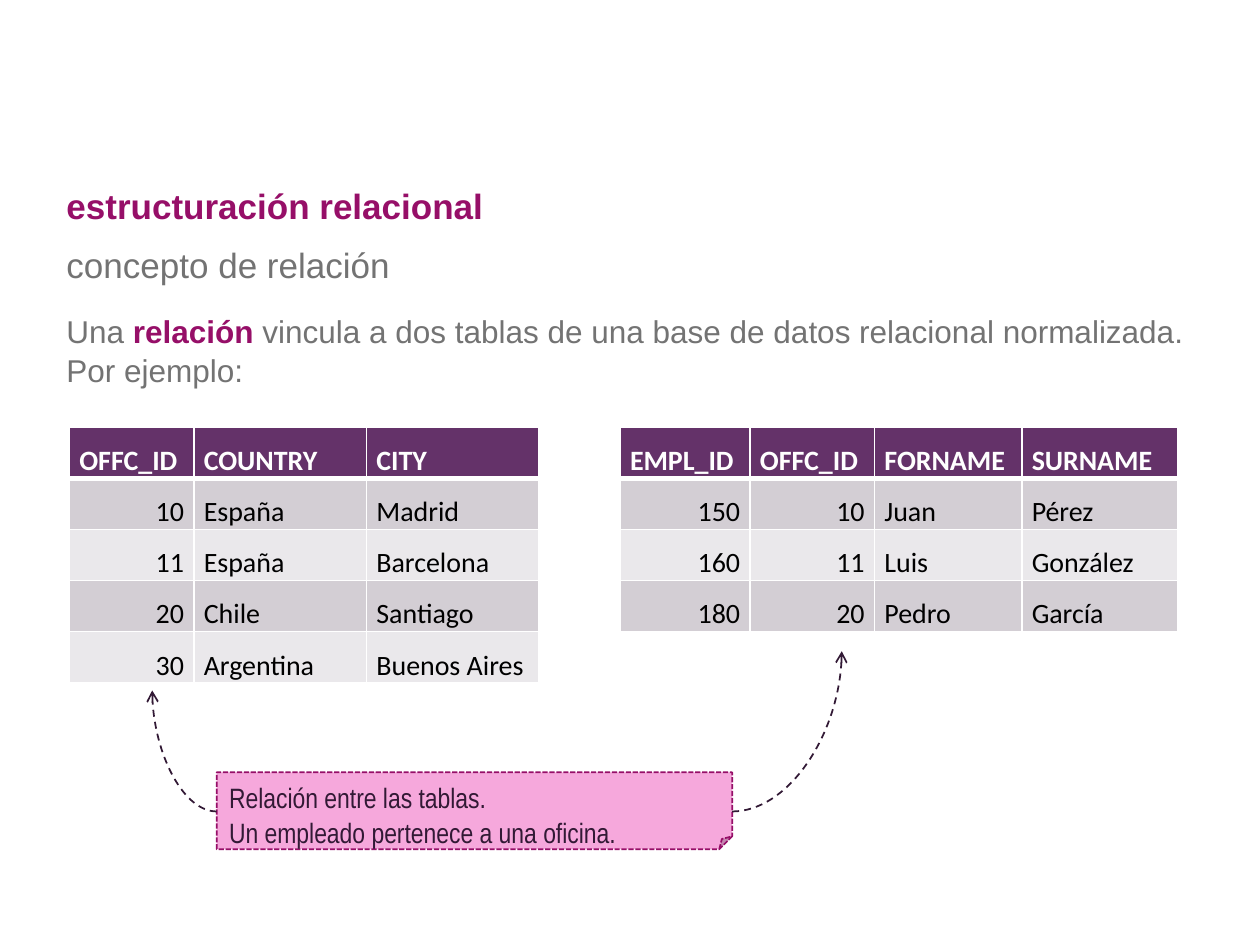
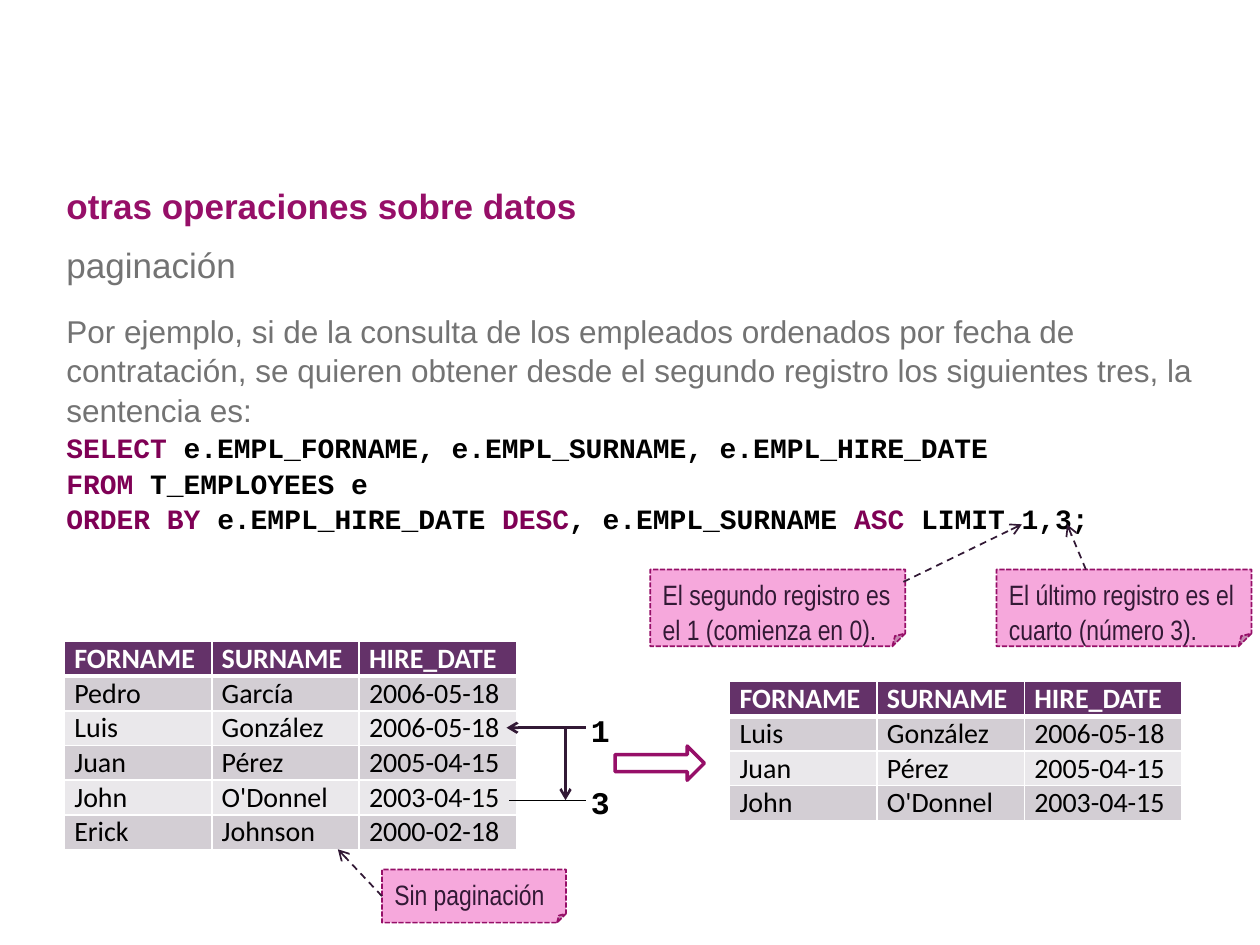
from lxml import etree
from pptx import Presentation
from pptx import util as u
from pptx.dml.color import RGBColor
from pptx.enum import dml, shapes, text
from pptx.oxml.ns import qn

PLUM = RGBColor(0x96, 0x0F, 0x68)
GREY = RGBColor(0x73, 0x73, 0x73)
BLACK = RGBColor(0, 0, 0)
WHITE = RGBColor(0xFF, 0xFF, 0xFF)
KEYWORD = RGBColor(0x7F, 0x00, 0x55)
HEADER = RGBColor(0x64, 0x32, 0x69)
BAND_DARK = RGBColor(0xD3, 0xCE, 0xD4)
BAND_LIGHT = RGBColor(0xEA, 0xE8, 0xEB)
NOTE = RGBColor(0xF6, 0xA8, 0xDC)
INK = RGBColor(0x32, 0x19, 0x35)

DASH = dml.MSO_LINE.DASH
STRAIGHT = shapes.MSO_CONNECTOR.STRAIGHT
CURVE = shapes.MSO_CONNECTOR.CURVE


def write(frame, lines, font, size, spacing=1.05):
    """Fill a frame with lines, each a list of (words, colour, bold) spans."""
    frame.word_wrap = True
    for number, line in enumerate(lines):
        para = frame.add_paragraph() if number else frame.paragraphs[0]
        para.alignment = text.PP_ALIGN.LEFT
        para.line_spacing = spacing
        for words, colour, bold in line:
            span = para.add_run()
            span.text = words
            span.font.name = font
            span.font.size = u.Pt(size)
            span.font.bold = bold
            span.font.color.rgb = colour


def add_border(cell, side, points):
    border = etree.SubElement(cell._tc.get_or_add_tcPr(), qn(f"a:ln{side}"),
                              w=str(u.Pt(points)))
    fill = etree.SubElement(border, qn("a:solidFill"))
    etree.SubElement(fill, qn("a:srgbClr"), val=str(WHITE))


deck = Presentation()
deck.slide_width, deck.slide_height = u.Cm(25.4), u.Cm(19.05)

# Headings and body text
CONTENTS = [
    ("estructuración relacional", "concepto de relación",
     [("Una ", GREY, False), ("relación", PLUM, True),
      (" vincula a dos tablas de una base de datos relacional normalizada. "
       "Por ejemplo:", GREY, False)]),
    ("otras operaciones sobre datos", "paginación",
     [("Por ejemplo, si de la consulta de los empleados ordenados por fecha de "
       "contratación, se quieren obtener desde el segundo registro los "
       "siguientes tres, la sentencia es:", GREY, False)]),
]
MIDDLE, TOP = text.MSO_ANCHOR.MIDDLE, text.MSO_ANCHOR.TOP
for title, subtitle, body in CONTENTS:
    page = deck.slides.add_slide(deck.slide_layouts[6])
    for spans, y, width, height, size, anchor in [
        ([(title, PLUM, True)], 3.53, 23.01, 1.19, 20, MIDDLE),
        ([(subtitle, GREY, False)], 4.72, 23.01, 1.19, 20, MIDDLE),
        (body, 6.12, 23.29, 11.61, 18, TOP),
    ]:
        box = page.shapes.add_textbox(u.Cm(1.09), u.Cm(y), u.Cm(width), u.Cm(height))
        box.text_frame.vertical_anchor = anchor
        write(box.text_frame, [spans], "Arial", size)
relation, paging = deck.slides

# SQL sentence
QUERY = [
    [("SELECT ", KEYWORD, True),
     ("e.EMPL_FORNAME, e.EMPL_SURNAME, e.EMPL_HIRE_DATE", BLACK, True)],
    [("FROM ", KEYWORD, True), ("T_EMPLOYEES e", BLACK, True)],
    [("ORDER BY ", KEYWORD, True), ("e.EMPL_HIRE_DATE ", BLACK, True),
     ("DESC", KEYWORD, True), (", e.EMPL_SURNAME ", BLACK, True),
     ("ASC ", KEYWORD, True), ("LIMIT 1,3;", BLACK, True)],
]
box = paging.shapes.add_textbox(u.Cm(1.09), u.Cm(8.53), u.Cm(22.4), u.Cm(2.31))
write(box.text_frame, QUERY, "Courier New", 16)

# Tables: page, left, top, row height, column widths, rows
HIRES = [
    ("FORNAME", "SURNAME", "HIRE_DATE"),
    ("Pedro", "García", "2006-05-18"),
    ("Luis", "González", "2006-05-18"),
    ("Juan", "Pérez", "2005-04-15"),
    ("John", "O'Donnel", "2003-04-15"),
    ("Erick", "Johnson", "2000-02-18"),
]
HIRE_WIDTHS = (2.97, 2.97, 3.17)
TABLES = [
    (relation, 12.5, 8.61, 1.03, (2.62, 2.51, 2.97, 3.15), [
        ("EMPL_ID", "OFFC_ID", "FORNAME", "SURNAME"),
        ("150", "10", "Juan", "Pérez"),
        ("160", "11", "Luis", "González"),
        ("180", "20", "Pedro", "García"),
    ]),
    (relation, 1.4, 8.61, 1.03, (2.51, 3.48, 3.48), [
        ("OFFC_ID", "COUNTRY", "CITY"),
        ("10", "España", "Madrid"),
        ("11", "España", "Barcelona"),
        ("20", "Chile", "Santiago"),
        ("30", "Argentina", "Buenos Aires"),
    ]),
    (paging, 1.3, 12.93, 0.7, HIRE_WIDTHS, HIRES),
    (paging, 14.71, 13.74, 0.7, HIRE_WIDTHS, HIRES[:1] + HIRES[2:5]),
]
for page, x, y, row_height, widths, rows in TABLES:
    table = page.shapes.add_table(
        len(rows), len(widths), u.Cm(x), u.Cm(y),
        u.Cm(sum(widths)), u.Cm(row_height * len(rows))).table
    for column, width in zip(table.columns, widths):
        column.width = u.Cm(width)
    for r, values in enumerate(rows):
        table.rows[r].height = u.Cm(row_height)
        for c, value in enumerate(values):
            cell = table.cell(r, c)
            cell.margin_left = cell.margin_right = u.Cm(0.2)
            cell.margin_top, cell.margin_bottom = u.Cm(0.01), 0
            cell.vertical_anchor = text.MSO_ANCHOR.BOTTOM
            for side, points in (("L", 1), ("R", 1), ("T", 3 if r == 1 else 1),
                                 ("B", 3 if r == 0 else 1)):
                add_border(cell, side, points)
            cell.fill.solid()
            cell.fill.fore_color.rgb = (
                HEADER if r == 0 else BAND_DARK if r % 2 else BAND_LIGHT)
            write(cell.text_frame, [[(value, BLACK if r else WHITE, r == 0)]],
                  "Calibri", 16, 1.0)
            if value.isdigit():
                cell.text_frame.paragraphs[0].alignment = text.PP_ALIGN.RIGHT

# Folded notes
NOTES = [
    (relation, 4.37, 15.57, 10.39, 1.55,
     ["Relación entre las tablas.", "Un empleado pertenece a una oficina."]),
    (paging, 13.11, 11.48, 5.14, 1.55, ["El segundo registro es el 1 (comienza en 0)."]),
    (paging, 20.09, 11.48, 5.14, 1.55, ["El último registro es el cuarto (número 3)."]),
    (paging, 7.7, 17.53, 3.71, 1.07, ["Sin paginación"]),
]
for page, x, y, width, height, lines in NOTES:
    note = page.shapes.add_shape(shapes.MSO_SHAPE.FOLDED_CORNER,
                                 u.Cm(x), u.Cm(y), u.Cm(width), u.Cm(height))
    note.shadow.inherit = False
    note.fill.solid()
    note.fill.fore_color.rgb = NOTE
    note.line.color.rgb = PLUM
    note.line.width = u.Pt(1)
    note.line.dash_style = dml.MSO_LINE.SQUARE_DOT
    note.text_frame.vertical_anchor = TOP
    write(note.text_frame, [[(line, INK, False)] for line in lines], "Arial Narrow", 16)
unpaged_note = note

# Arrow to the paged result
result_arrow = paging.shapes.add_shape(shapes.MSO_SHAPE.RIGHT_ARROW,
                                       u.Cm(12.4), u.Cm(15.04), u.Cm(1.8), u.Cm(0.69))
result_arrow.shadow.inherit = False
result_arrow.fill.solid()
result_arrow.fill.fore_color.rgb = WHITE
result_arrow.line.color.rgb = PLUM
result_arrow.line.width = u.Pt(2)

# Lines: page, kind, start, end, colour, points, dash, arrowhead, note at start
LINES = [
    (relation, CURVE, (14.76, 16.36), (16.97, 13.13), INK, 1, DASH, True, None),
    (relation, CURVE, (4.37, 16.36), (3.07, 13.92), INK, 1, DASH, True, None),
    (paging, STRAIGHT, (18.21, 11.73), (20.6, 10.57), INK, 1, DASH, True, None),
    (paging, STRAIGHT, (21.89, 11.48), (21.51, 10.57), INK, 1, DASH, True, None),
    (paging, STRAIGHT, (7.7, 18.06), (6.81, 17.12), INK, 1, DASH, True, unpaged_note),
    (paging, STRAIGHT, (11.81, 14.67), (10.21, 14.67), INK, 1.5, None, True, None),
    (paging, STRAIGHT, (11.81, 16.13), (10.26, 16.13), BLACK, 0.75, None, False, None),
    (paging, STRAIGHT, (11.4, 14.67), (11.4, 16.13), INK, 1.5, None, True, None),
]
for page, kind, start, end, colour, points, dash, has_head, start_note in LINES:
    line = page.shapes.add_connector(kind, *map(u.Cm, start + end))
    if start_note is not None:
        line.begin_connect(start_note, 1)
    line.line.color.rgb = colour
    line.line.width = u.Pt(points)
    if dash:
        line.line.dash_style = dash
    if has_head:
        etree.SubElement(line.line._get_or_add_ln(), qn("a:tailEnd"), type="arrow")
    properties = line._element.spPr
    if kind == CURVE:
        properties.find(qn("a:prstGeom")).set("prst", "curvedConnector2")
    etree.SubElement(properties, qn("a:effectLst"))

# Record numbers beside the table
for number, y in (("1", 14.17), ("3", 15.62)):
    box = paging.shapes.add_textbox(u.Cm(11.66), u.Cm(y), u.Cm(0.89), u.Cm(1.02))
    write(box.text_frame, [[(number, BLACK, True)]], "Courier New", 18)
    box.text_frame.word_wrap = False

deck.save("out.pptx")
